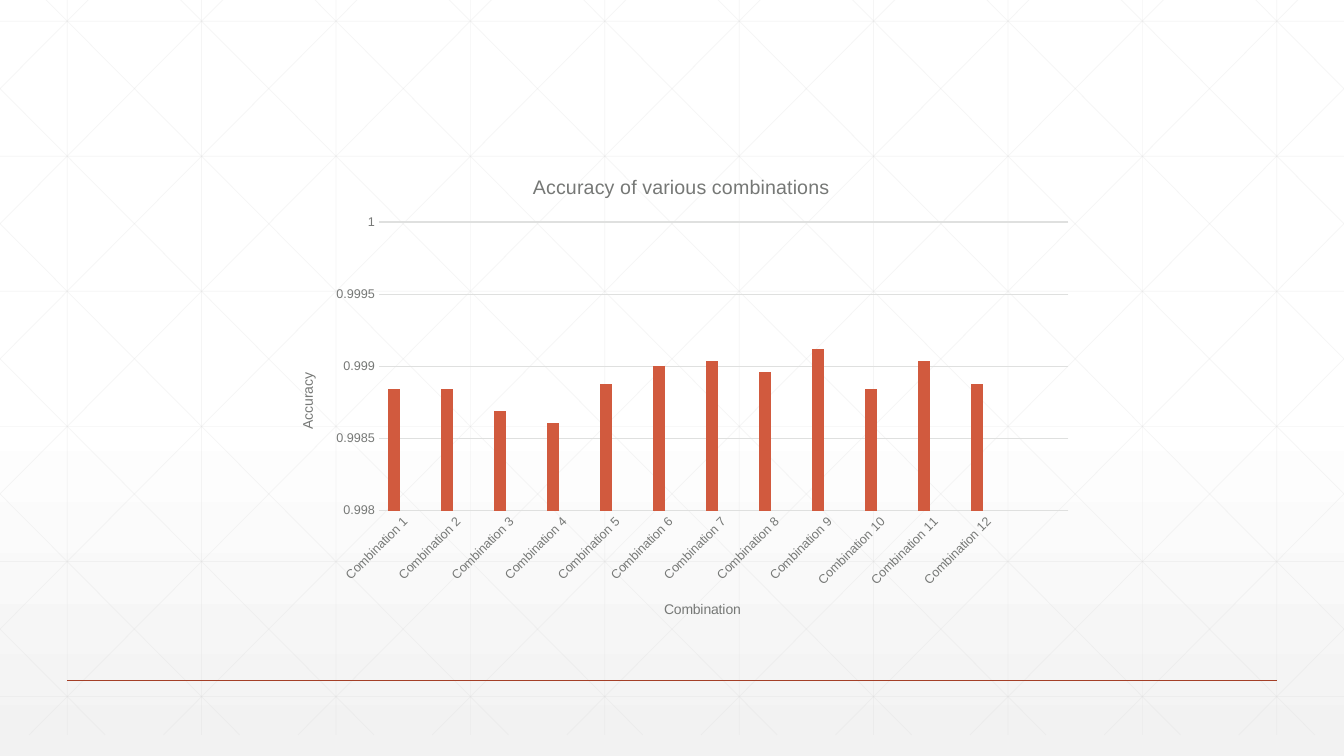
import pptx
import pptx.chart.data
import pptx.dml.color
import pptx.enum.chart
import pptx.enum.shapes
import pptx.oxml.ns
import pptx.oxml.xmlchemy
import pptx.util

RGB = pptx.dml.color.RGBColor
WHITE = RGB(0xFF, 0xFF, 0xFF)
PALE = RGB(0xF2, 0xF2, 0xF2)
MESH = RGB(0xD9, 0xD9, 0xD9)
RULE = RGB(0xA4, 0x3F, 0x27)
GRID = RGB(0xDF, 0xE0, 0xDF)
GREY = RGB(0x76, 0x78, 0x76)
SERIES = (RGB(0xD1, 0x5A, 0x3E), RGB(0xB2, 0xB2, 0xB2), RGB(0x4F, 0x91, 0xA1))

FONT = "Arial"
W, H = 40 / 3, 7.5
COL = W / 10
ROW = 1.34
TOP, BOTTOM = -0.21, 7.29
RUN = 7.46  # horizontal reach of a full diagonal

ACCURACY = (0.99884, 0.99884, 0.99869, 0.99861, 0.99888, 0.999,
            0.99904, 0.99896, 0.99912, 0.99884, 0.99904, 0.99888)


def add_line(s, x1, y1, x2, y2, color, width, opacity=100):
    ends = [pptx.util.Inches(v) for v in (x1, y1, x2, y2)]
    line = s.shapes.add_connector(pptx.enum.shapes.MSO_CONNECTOR.STRAIGHT, *ends)
    line.line.color.rgb = color
    line.line.width = pptx.util.Pt(width)
    spPr = line._element.spPr
    if opacity < 100:
        clr = next(spPr.iter(pptx.oxml.ns.qn("a:srgbClr")))
        alpha = pptx.oxml.xmlchemy.OxmlElement("a:alpha")
        alpha.set("val", str(opacity * 1000))
        clr.append(alpha)
    spPr.append(pptx.oxml.xmlchemy.OxmlElement("a:effectLst"))


def add_background(s):
    fill = s.background.fill
    fill.gradient()
    fill.gradient_angle = 270
    for stop, position, color in zip(fill.gradient_stops, (0.53, 1), (WHITE, PALE)):
        stop.position = position
        stop.color.rgb = color


def add_mesh(s):
    """Draw columns, rows and mirrored diagonals clipped to the slide's sides."""
    def mesh_line(*ends):
        add_line(s, *ends, MESH, 0.5, 25)

    for i in range(10):
        x = COL * (i + 0.5)
        mesh_line(x, TOP, x, BOTTOM)
    for i in range(6):
        y = 0.21 + ROW * i
        mesh_line(0, y, W, y)
    slope = (BOTTOM - TOP) / RUN
    for i in range(-5, 10):
        start = 0.25 + COL * i
        x1, x2 = max(start, 0), min(start + RUN, W)
        y1, y2 = (TOP + (x - start) * slope for x in (x1, x2))
        mesh_line(x1, y1, x2, y2)
        mesh_line(W - x1, y1, W - x2, y2)


def set_font(font, size):
    font.name = FONT
    font.size = pptx.util.Pt(size)
    font.bold = False
    font.color.rgb = GREY


def set_title(owner, text, size):
    """Title a chart or an axis."""
    r = owner.text_frame.paragraphs[0].add_run()
    r.text = text
    set_font(r.font, size)


def format_axis(axis, title):
    axis.major_tick_mark = axis.minor_tick_mark = pptx.enum.chart.XL_TICK_MARK.NONE
    set_font(axis.tick_labels.font, 9)
    set_title(axis.axis_title, title, 10)


def set_line(line_format):
    line_format.color.rgb = GRID
    line_format.width = pptx.util.Pt(0.75)


def add_accuracy_chart(s):
    data = pptx.chart.data.CategoryChartData()
    count = len(ACCURACY)
    data.categories = [f"Combination {i + 1}" for i in range(count)] + [""]
    empty = (None,) * (count + 1)
    for i, values in enumerate((ACCURACY + (None,), empty, empty), 1):
        data.add_series(f"Series {i}", values)
    box = [pptx.util.Inches(v) for v in (2.76, 1.55, 8, 4.78)]
    chart = s.shapes.add_chart(
        pptx.enum.chart.XL_CHART_TYPE.COLUMN_CLUSTERED, *box, data).chart
    set_font(chart.font, 10)
    chart.has_legend = False
    set_title(chart.chart_title, "Accuracy of various combinations", 14)

    plot = chart.plots[0]
    plot.gap_width = 150
    plot.vary_by_categories = False
    for series, color in zip(plot.series, SERIES):
        series.format.fill.solid()
        series.format.fill.fore_color.rgb = color

    format_axis(chart.category_axis, "Combination")
    set_line(chart.category_axis.format.line)
    labels = chart.category_axis.tick_labels.font
    labels._element.getparent().getparent().getparent().find(
        pptx.oxml.ns.qn("a:bodyPr")).set("rot", "-2700000")

    axis = chart.value_axis
    format_axis(axis, "Accuracy")
    axis.format.line.fill.background()
    axis.minimum_scale, axis.maximum_scale = 0.998, 1
    axis.major_unit = 0.0005
    axis.tick_labels.number_format = "General"
    axis.tick_labels.number_format_is_linked = False
    set_line(axis.major_gridlines.format.line)


def main():
    prs = pptx.Presentation()
    prs.slide_width = pptx.util.Inches(W)
    prs.slide_height = pptx.util.Inches(H)
    s = prs.slides.add_slide(prs.slide_layouts[6])
    add_background(s)
    add_mesh(s)
    add_line(s, COL / 2, 0.9 * H, W - COL / 2, 0.9 * H, RULE, 1)
    add_accuracy_chart(s)
    prs.save("out.pptx")


if __name__ == "__main__":
    main()
